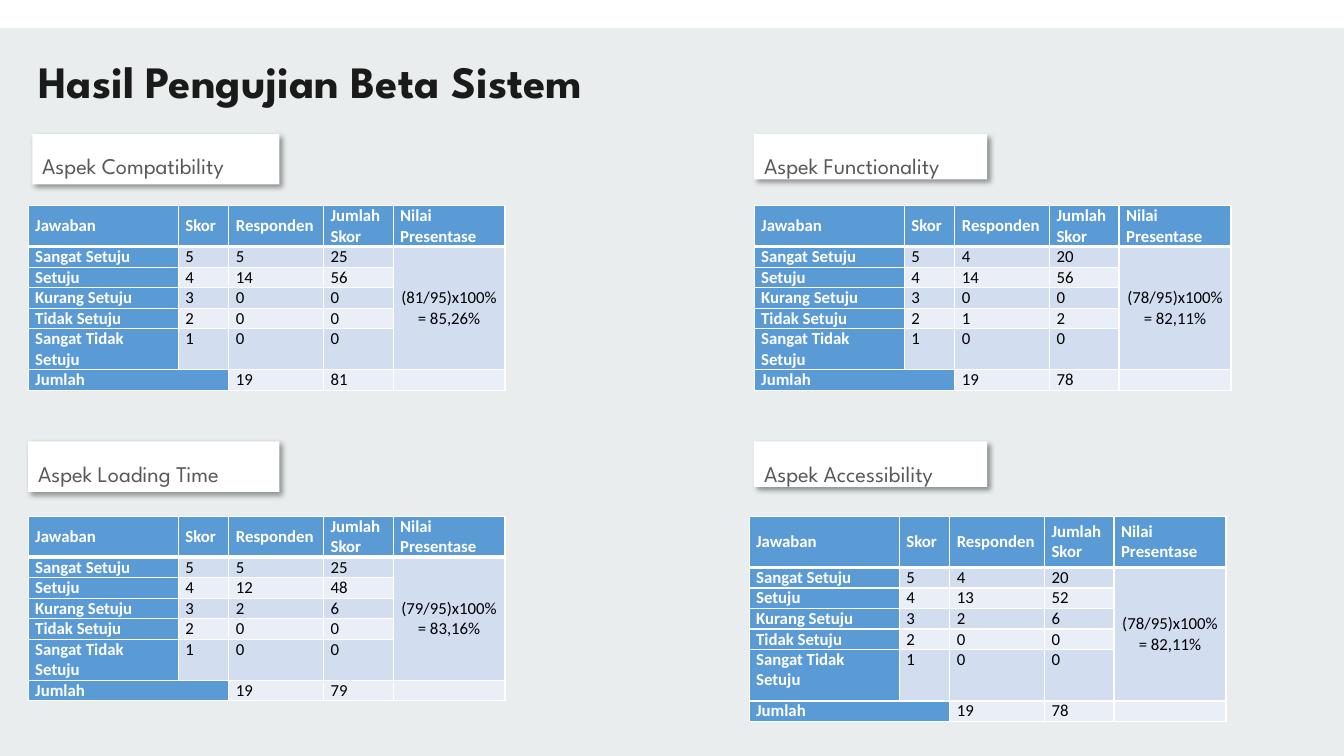
from dataclasses import dataclass

from lxml.etree import SubElement
from pptx import Presentation
from pptx.dml.color import RGBColor
from pptx.enum.shapes import MSO_SHAPE
from pptx.enum.text import MSO_ANCHOR, MSO_AUTO_SIZE, PP_ALIGN
from pptx.oxml.ns import qn
from pptx.util import Inches, Pt


@dataclass(frozen=True)
class Theme:
    page: str = "E9EDEE"
    white: str = "FFFFFF"
    black: str = "000000"
    title: str = "1A1A1A"
    label: str = "595959"
    head: str = "5B9BD5"
    band_dark: str = "D2DEEF"
    band_light: str = "EAEFF7"
    display_font: str = "League Spartan"
    table_font: str = "Calibri"
    title_size: int = 32
    label_size: int = 16
    table_size: int = 12


THEME = Theme()
HEADINGS = ["Jawaban", "Skor", "Responden", "Jumlah Skor", "Nilai Presentase"]
ANSWERS = ["Sangat Setuju", "Setuju", "Kurang Setuju", "Tidak Setuju", "Sangat Tidak Setuju"]
SCORES = [5, 4, 3, 2, 1]
COLUMNS = [1.49, 0.5, 0.94, 0.69, 1.11]
LINE = 0.2
ASPECTS = [
    ("Aspek Compatibility", (0.32, 1.33, 2.45, 0.5), (0.28, 2.04), 0.4, [5, 14, 0, 0, 0]),
    ("Aspek Loading Time", (0.28, 4.38, 2.49, 0.5), (0.28, 5.12), 0.4, [5, 12, 2, 0, 0]),
    ("Aspek Functionality", (7.48, 1.33, 2.31, 0.45), (7.48, 2.04), 0.4, [4, 14, 0, 1, 0]),
    ("Aspek Accessibility", (7.48, 4.38, 2.31, 0.45), (7.43, 5.12), 0.51, [4, 13, 2, 0, 0]),
]


def rgb(color):
    return RGBColor.from_string(color)


def style_runs(p, font, size, color, bold=False):
    for r in p.runs:
        r.font.name = font
        r.font.size = Pt(size)
        r.font.bold = bold
        r.font.color.rgb = rgb(color)


def add_title(s, box):
    sp = s.shapes.title
    sp.left, sp.top, sp.width, sp.height = map(Inches, box)
    tf = sp.text_frame
    tf.text = "Hasil Pengujian Beta Sistem"
    tf.word_wrap = False
    tf.auto_size = MSO_AUTO_SIZE.NONE
    tf.vertical_anchor = MSO_ANCHOR.TOP
    p = tf.paragraphs[0]
    p.alignment = PP_ALIGN.LEFT
    style_runs(p, THEME.display_font, THEME.title_size, THEME.title, True)


def add_panel(s, box):
    sp = s.shapes.add_shape(MSO_SHAPE.RECTANGLE, *map(Inches, box))
    sp.shadow.inherit = False
    sp.fill.solid()
    sp.fill.fore_color.rgb = rgb(THEME.white)
    sp.line.fill.background()
    return sp


def add_drop_shadow(sp):
    effects = sp._element.spPr.find(qn("a:effectLst"))
    shadow = SubElement(effects, qn("a:outerShdw"), blurRad=str(Pt(4)), dist=str(Pt(3)),
                        dir=str(45 * 60000), algn="tl", rotWithShape="0")
    color = SubElement(shadow, qn("a:srgbClr"), val=THEME.black)
    SubElement(color, qn("a:alpha"), val="40000")


def add_label(s, box, text):
    sp = add_panel(s, box)
    add_drop_shadow(sp)
    tf = sp.text_frame
    tf.text = text
    tf.word_wrap = True
    tf.vertical_anchor = MSO_ANCHOR.TOP
    p = tf.paragraphs[0]
    p.alignment = PP_ALIGN.JUSTIFY
    p.line_spacing = 1.5
    style_runs(p, THEME.display_font, THEME.label_size, THEME.label)


def set_borders(cell, row):
    tc_pr = cell._tc.get_or_add_tcPr()
    widths = {"L": 1, "R": 1, "T": 3 if row == 1 else 1, "B": 3 if row == 0 else 1}
    for i, (side, width) in enumerate(widths.items()):
        ln = SubElement(tc_pr, qn(f"a:ln{side}"), w=str(Pt(width)))
        SubElement(SubElement(ln, qn("a:solidFill")), qn("a:srgbClr"), val=THEME.white)
        tc_pr.insert(i, ln)


def format_cell(cell, row, col, text):
    is_head = row == 0 or col == 0
    in_result = col == len(COLUMNS) - 1 and 0 < row <= len(ANSWERS)
    band = THEME.band_dark if row % 2 or in_result else THEME.band_light
    cell.fill.solid()
    cell.fill.fore_color.rgb = rgb(THEME.head if is_head else band)
    cell.margin_left = cell.margin_right = Inches(0.07)
    cell.margin_top = cell.margin_bottom = 0
    cell.vertical_anchor = MSO_ANCHOR.MIDDLE if row == 0 or in_result else MSO_ANCHOR.TOP
    set_borders(cell, row)
    p = cell.text_frame.paragraphs[0]
    if not text:
        SubElement(p._p, qn("a:endParaRPr"), sz=str(THEME.table_size * 100))
        return
    p.text = text
    p.alignment = PP_ALIGN.CENTER if in_result else PP_ALIGN.LEFT
    style_runs(p, THEME.table_font, THEME.table_size,
               THEME.white if is_head else THEME.black, is_head)


def result_rows(counts):
    points = [score * count for score, count in zip(SCORES, counts)]
    total, people = sum(points), sum(counts)
    best = people * max(SCORES)
    percent = f"{total / best * 100:.2f}".replace(".", ",")
    rows = [[answer, str(score), str(count), str(point), ""]
            for answer, score, count, point in zip(ANSWERS, SCORES, counts, points)]
    rows[0][-1] = f"({total}/{best})x100%= {percent}%"
    return [HEADINGS, *rows, ["Jumlah", "", str(people), str(total), ""]]


def add_results(s, origin, tall, counts):
    rows = result_rows(counts)
    heights = [tall, *[LINE] * 4, tall, LINE]
    box = (*origin, sum(COLUMNS), sum(heights))
    table = s.shapes.add_table(len(rows), len(COLUMNS), *map(Inches, box)).table
    table.horz_banding = False
    for column, width in zip(table.columns, COLUMNS):
        column.width = Inches(width)
    for i, (row, height) in enumerate(zip(rows, heights)):
        table.rows[i].height = Inches(height)
        for j, text in enumerate(row):
            format_cell(table.cell(i, j), i, j, text)
    table.cell(1, 4).merge(table.cell(5, 4))
    table.cell(6, 0).merge(table.cell(6, 1))


def build_results_slide(prs):
    s = prs.slides.add_slide(prs.slide_layouts[5])
    s.background.fill.solid()
    s.background.fill.fore_color.rgb = rgb(THEME.page)
    add_title(s, (0.28, 0.48, 6.12, 0.64))
    add_panel(s, (0, 0, 13.33, 0.28))
    for name, label_box, origin, tall, counts in ASPECTS:
        add_label(s, label_box, name)
        add_results(s, origin, tall, counts)


def main():
    prs = Presentation()
    prs.slide_width, prs.slide_height = Inches(13.33), Inches(7.5)
    build_results_slide(prs)
    prs.save("out.pptx")


if __name__ == "__main__":
    main()
